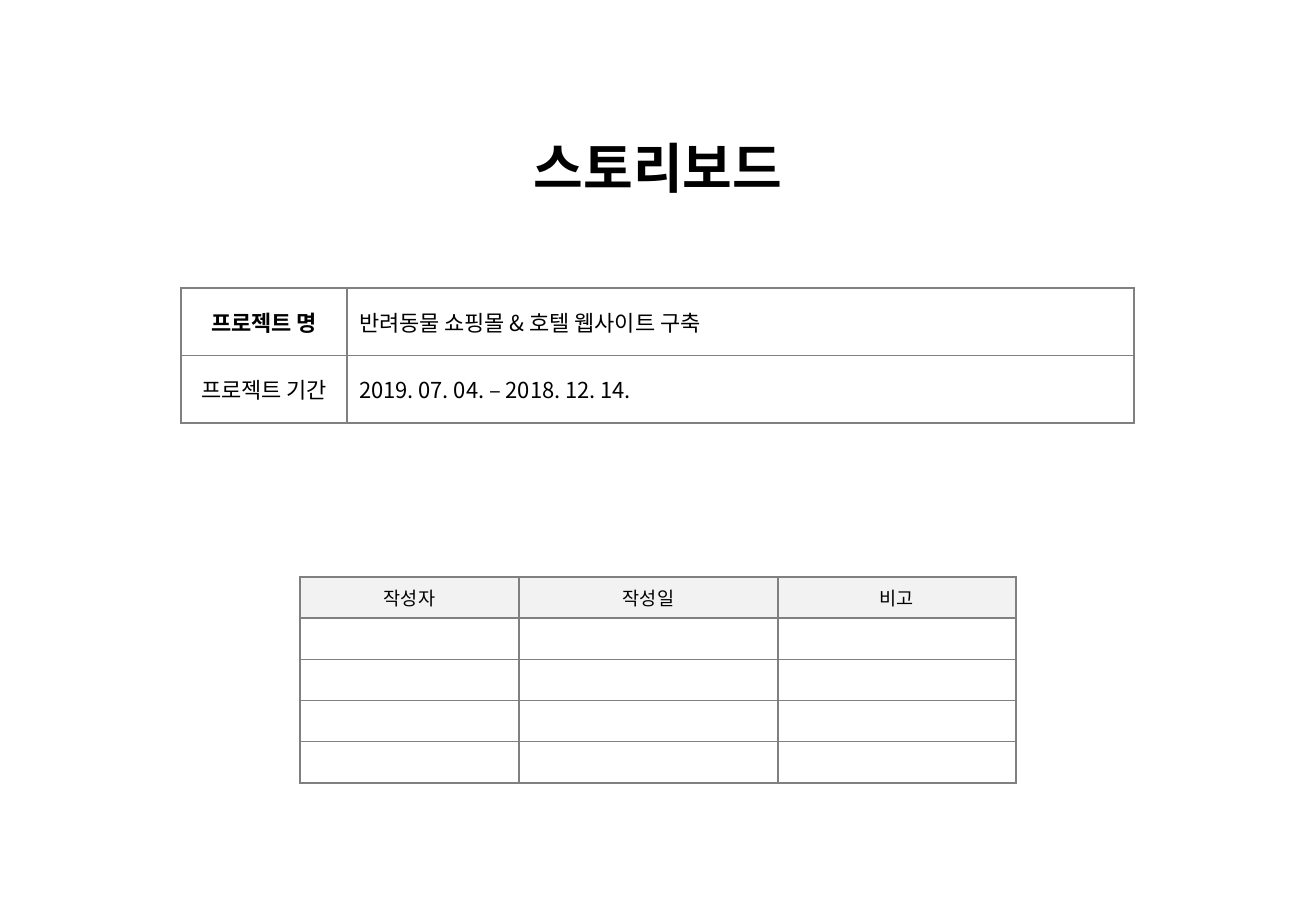
"""Storyboard cover slide: a title, a project table and an author log."""
from lxml import etree
from pptx import Presentation
from pptx import util as u
from pptx.dml.color import RGBColor
from pptx.enum import text
from pptx.oxml.ns import qn

TITLE = "스토리보드"
PROJECT = [
    ("프로젝트 명", "반려동물 쇼핑몰 & 호텔 웹사이트 구축"),
    ("프로젝트 기간", "2019. 07. 04. – 2018. 12. 14."),
]
AUTHOR_LOG = [("작성자", "작성일", "비고")] + [("", "", "")] * 4

THEME = {
    "ink": "000000", "line": "808080", "header": "F2F2F2",
    "latin": "Arial", "korean": "Noto Sans CJK KR",
    "title": 32, "project": 13, "log": 11, "border": 1,
}
CENTER, LEFT = text.PP_ALIGN.CENTER, text.PP_ALIGN.LEFT
SLIDE = (1316, 911)
TITLE_BOX = (119, 128, 1078, 77)
PROJECT_BOX = {"left": 181, "top": 288, "widths": (166, 787), "height": 135}
LOG_BOX = {"left": 300, "top": 577, "widths": (219, 259, 238), "height": 206}


def px(n):
    """Turn pixels into EMU."""
    return u.Emu(round(n * 914400 / 121.5))


def write(tf, words, size, font=THEME["korean"], bold=False, align=CENTER):
    """Put one formatted paragraph into a text frame."""
    tf.vertical_anchor = text.MSO_ANCHOR.MIDDLE
    p = tf.paragraphs[0]
    p.alignment = align
    if not words:
        p._p.get_or_add_endParaRPr().set("sz", str(size * 100))
        return
    r = p.add_run()
    r.text = words
    r.font.size, r.font.bold, r.font.name = u.Pt(size), bold, font
    r.font.color.rgb = RGBColor.from_string(THEME["ink"])
    ea = etree.SubElement(r._r.get_or_add_rPr(), qn("a:ea"))
    ea.set("typeface", THEME["korean"])


def outline(cell):
    """Draw a thin line on all four sides of a cell."""
    props = cell._tc.get_or_add_tcPr()
    for i, side in enumerate(("lnL", "lnR", "lnT", "lnB")):
        ln = etree.Element(qn(f"a:{side}"), w=str(u.Pt(THEME["border"])))
        fill = etree.SubElement(ln, qn("a:solidFill"))
        etree.SubElement(fill, qn("a:srgbClr"), val=THEME["line"])
        props.insert(i, ln)


def add_grid(slide, rows, box, style):
    """Add a table; style(row, column) gives a cell's fill and text format."""
    widths, height = box["widths"], box["height"]
    table = slide.shapes.add_table(
        len(rows), len(widths), px(box["left"]), px(box["top"]),
        px(sum(widths)), px(height)).table
    table.first_row = table.horz_banding = False
    for column, width in zip(table.columns, widths):
        column.width = px(width)
    for i, row in enumerate(rows):
        table.rows[i].height = px(height / len(rows))
        for j, words in enumerate(row):
            cell = table.cell(i, j)
            fill, fmt = style(i, j)
            if fill:
                cell.fill.solid()
                cell.fill.fore_color.rgb = RGBColor.from_string(fill)
            else:
                cell.fill.background()
            write(cell.text_frame, words, **fmt)
            cell.vertical_anchor = text.MSO_ANCHOR.MIDDLE
            outline(cell)


def project_style(i, j):
    """Bold the project name label and left-align the values."""
    return None, {"size": THEME["project"], "bold": (i, j) == (0, 0),
                  "align": LEFT if j else CENTER}


def log_style(i, j):
    """Shade the header row."""
    return (None if i else THEME["header"],
            {"size": THEME["log"], "font": THEME["latin"]})


prs = Presentation()
prs.slide_width, prs.slide_height = map(px, SLIDE)
slide = prs.slides.add_slide(prs.slide_layouts[5])
title = slide.shapes.title
title.left, title.top, title.width, title.height = map(px, TITLE_BOX)
write(title.text_frame, TITLE, THEME["title"], THEME["latin"], bold=True)
add_grid(slide, AUTHOR_LOG, LOG_BOX, log_style)
add_grid(slide, PROJECT, PROJECT_BOX, project_style)
prs.save("out.pptx")
